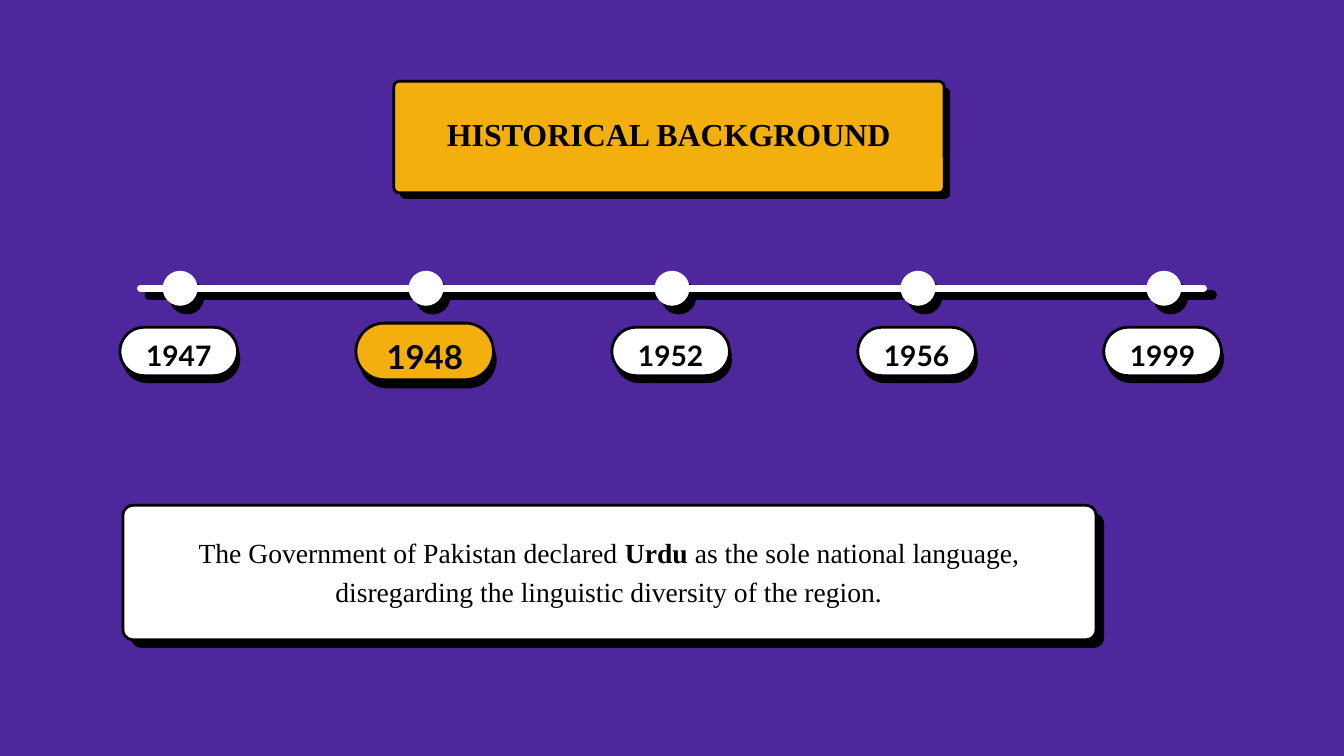
import pptx
import pptx.util
from pptx.dml.color import RGBColor
from pptx.enum.shapes import MSO_CONNECTOR, MSO_SHAPE
from pptx.enum.text import PP_ALIGN
from pptx.oxml.ns import qn
from lxml import etree

# Grid: 20 columns by 11.25 rows of equal square cells
COLUMNS, ROWS = 20, 11.25
CELL = pptx.util.Inches(1)

PURPLE, AMBER, WHITE, BLACK = "4F279D", "F3AF0E", "FFFFFF", "000000"

YEARS = ["1947", "1948", "1952", "1956", "1999"]
CURRENT_YEAR = "1948"
CURRENT_SCALE = 1.17
YEAR_STEP = 3.66
AXIS_ROW = 4.29
PILL_ROW = 5.23
DOT_SIZE = 0.52


def grid(*cells):
    return [round(cell * CELL) for cell in cells]


def paint(color_format, color):
    color_format.rgb = RGBColor.from_string(color)


def add_filled(slide, kind, column, row, width, height, fill, outlined=False):
    shape = slide.shapes.add_shape(kind, *grid(column, row, width, height))
    shape.shadow.inherit = False
    shape.fill.solid()
    paint(shape.fill.fore_color, fill)
    if outlined:
        paint(shape.line.color, BLACK)
        shape.line.width = pptx.util.Pt(3)
    else:
        shape.line.fill.background()
    return shape


def add_card(slide, column, row, width, height, radius, fill, offset):
    """Rounded card in front of its hard black shadow."""
    across, down = offset
    shadow = add_filled(slide, MSO_SHAPE.ROUNDED_RECTANGLE,
                        column + across, row + down, width, height, BLACK)
    card = add_filled(slide, MSO_SHAPE.ROUNDED_RECTANGLE,
                      column, row, width, height, fill, outlined=True)
    for shape in (shadow, card):
        shape.adjustments[0] = radius / height


def add_text(slide, column, row, width, height, runs, font, size, spacing, bold=None):
    """Centred text; runs are (wording, bold) pairs, bold=None leaves it to them."""
    box = slide.shapes.add_textbox(*grid(column, row, width, height))
    frame = box.text_frame
    frame.word_wrap = True
    frame.margin_left = frame.margin_right = 0
    frame.margin_top = frame.margin_bottom = 0
    paragraph = frame.paragraphs[0]
    paragraph.alignment = PP_ALIGN.CENTER
    paragraph.line_spacing = pptx.util.Pt(spacing)
    paragraph.font.name = font
    paragraph.font.size = pptx.util.Pt(size)
    paragraph.font.bold = bold
    paint(paragraph.font.color, BLACK)
    for wording, run_bold in runs:
        run = paragraph.add_run()
        run.text = wording
        if run_bold:
            run.font.bold = True


def add_axis(slide, start, end, row, color, width):
    line = slide.shapes.add_connector(
        MSO_CONNECTOR.STRAIGHT, *grid(start, row, end, row))
    paint(line.line.color, color)
    line.line.width = pptx.util.Pt(width)
    line.line._get_or_add_ln().set("cap", "rnd")
    etree.SubElement(line._element.spPr, qn("a:effectLst"))


def add_dots(slide, centers, row, color):
    for center in centers:
        add_filled(slide, MSO_SHAPE.OVAL, center - DOT_SIZE / 2, row - DOT_SIZE / 2,
                   DOT_SIZE, DOT_SIZE, color)


def add_year(slide, year, center):
    current = year == CURRENT_YEAR
    scale = CURRENT_SCALE if current else 1
    width, height = 1.75 * scale, 0.72 * scale
    add_card(slide, center - width / 2, PILL_ROW - height / 2, width, height,
             height / 2, AMBER if current else WHITE, (0.04 * scale, 0.11 * scale))
    text_width, text_height = 1.49 * scale, 0.51 * scale
    add_text(slide, center - text_width / 2,
             PILL_ROW + 0.065 * scale - text_height / 2, text_width, text_height,
             [(year, False)], "Lato", round(30.2 * scale, 1),
             round(36.2 * scale, 1), bold=True)


def main():
    presentation = pptx.Presentation()
    presentation.slide_width, presentation.slide_height = grid(COLUMNS, ROWS)
    slide = presentation.slides.add_slide(presentation.slide_layouts[6])
    slide.background.fill.solid()
    paint(slide.background.fill.fore_color, PURPLE)

    # Timeline: shadow first, then the white axis and dots
    middle = (len(YEARS) - 1) / 2
    centers = [COLUMNS / 2 + (index - middle) * YEAR_STEP
               for index in range(len(YEARS))]
    add_axis(slide, 2.22, 18.04, AXIS_ROW + 0.1, BLACK, 10)
    add_dots(slide, [center + 0.1 for center in centers], AXIS_ROW + 0.13, BLACK)
    add_axis(slide, 2.09, 17.91, AXIS_ROW, WHITE, 7.5)
    add_dots(slide, centers, AXIS_ROW, WHITE)

    # Year labels
    for year, center in zip(YEARS, centers):
        add_year(slide, year, center - 0.02)

    # Explanation of the current year
    add_card(slide, 1.83, 7.52, 14.48, 2, 0.15, WHITE, (0.12, 0.12))
    add_text(slide, 2.09, 7.9, 13.95, 1.16,
             [("The Government of Pakistan declared ", False), ("Urdu", True),
              (" as the sole national language, disregarding the linguistic "
               "diversity of the region.", False)],
             "Times New Roman", 29.6, 41.4)

    # Title
    add_card(slide, 5.86, 1.21, 8.19, 1.66, 0.08, AMBER, (0.09, 0.09))
    add_text(slide, 6.36, 1.81, 7.18, 0.48, [("HISTORICAL BACKGROUND", False)],
             "Times New Roman", 34.2, 33.9, bold=True)

    presentation.save("out.pptx")


if __name__ == "__main__":
    main()
